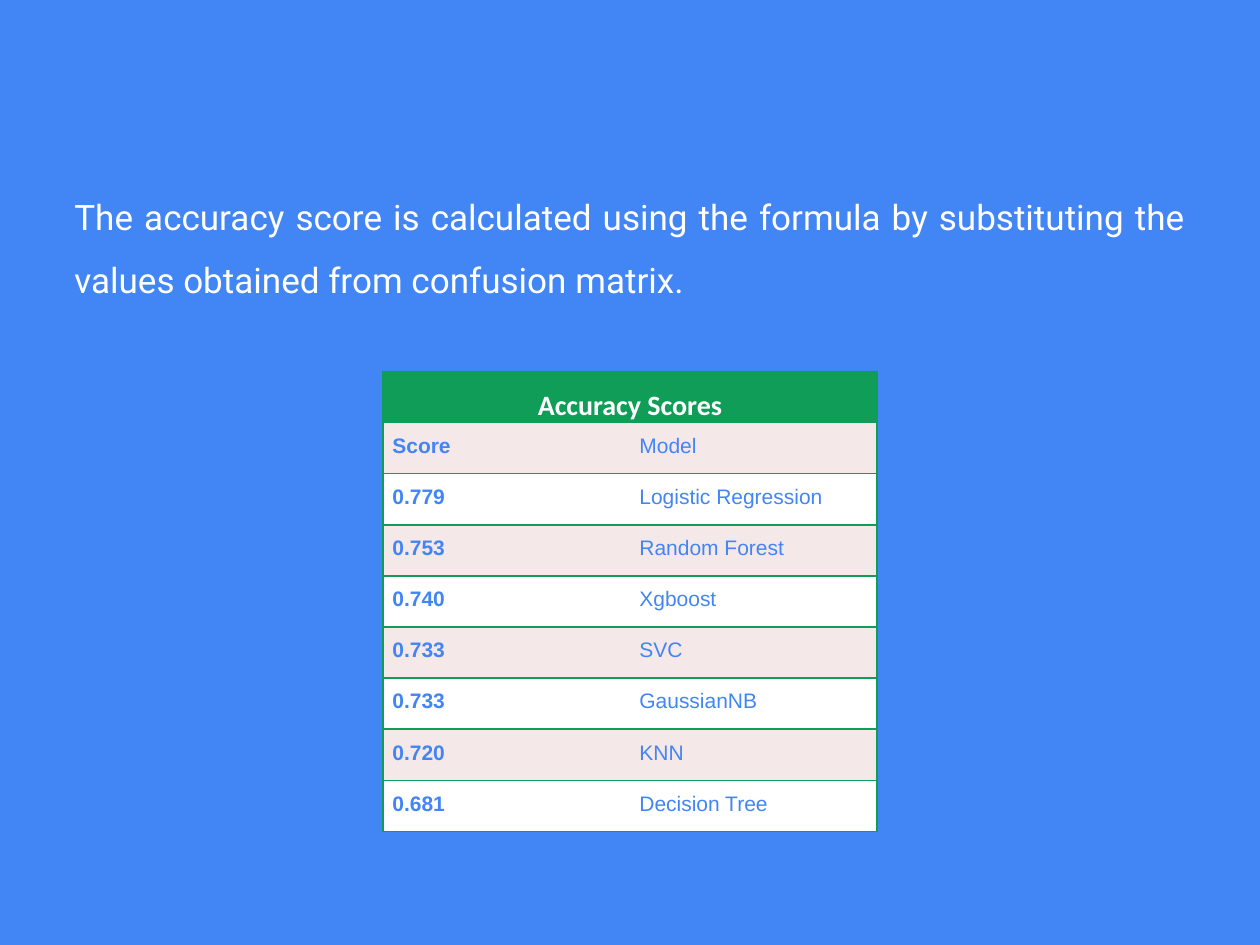
"""Build a slide with a table of accuracy scores by model."""
from lxml import etree
from pptx import Presentation
from pptx.dml.color import RGBColor
from pptx.enum import text
from pptx.oxml import ns
from pptx.util import Cm, Pt

BLUE = RGBColor(0x42, 0x85, 0xF4)
GREEN = RGBColor(0x0F, 0x9D, 0x58)
PINK = RGBColor(0xF4, 0xE8, 0xE8)
WHITE = RGBColor(0xFF, 0xFF, 0xFF)


def style(para, face, size, color, bold, align):
    para.line_spacing = 1.5
    para.alignment = align
    font = para.font
    font.name, font.size, font.bold = face, Pt(size), bold
    font.color.rgb = color


def edge(cell, sides):
    props = cell._tc.get_or_add_tcPr()
    for spot, side in enumerate("LRTB"):
        line = etree.Element(ns.qn(f"a:ln{side}"), w=str(Pt(1)))
        if side in sides:
            fill = etree.SubElement(line, ns.qn("a:solidFill"))
            etree.SubElement(fill, ns.qn("a:srgbClr"), val=str(GREEN))
        else:
            etree.SubElement(line, ns.qn("a:noFill"))
        props.insert(spot, line)


deck = Presentation()
deck.slide_width, deck.slide_height = Cm(25.4), Cm(19.05)
slide = deck.slides.add_slide(deck.slide_layouts[6])
back = slide.background.fill
back.solid()
back.fore_color.rgb = BLUE

body = slide.shapes.add_textbox(Cm(1.25), Cm(3.4), Cm(22.9), Cm(12.25)).text_frame
body.word_wrap = True
body.text = ("The accuracy score is calculated using the formula by "
             "substituting the values obtained from confusion matrix.")
style(body.paragraphs[0], "Roboto", 20, WHITE, False, text.PP_ALIGN.JUSTIFY)

rows = [
    ("Accuracy Scores", ""),
    ("Score", "Model"),
    ("0.779", "Logistic Regression"),
    ("0.753", "Random Forest"),
    ("0.740", "Xgboost"),
    ("0.733", "SVC"),
    ("0.733", "GaussianNB"),
    ("0.720", "KNN"),
    ("0.681", "Decision Tree"),
]
high = Cm(1.03)
table = slide.shapes.add_table(
    len(rows), 2, Cm(7.72), Cm(7.49), Cm(9.96), high * len(rows)).table
for row in table.rows:
    row.height = high
table.cell(0, 0).merge(table.cell(0, 1))

for i, row in enumerate(rows):
    for j, word in enumerate(row):
        cell = table.cell(i, j)
        cell.margin_left = cell.margin_right = Cm(0.19)
        cell.margin_top = cell.margin_bottom = 0
        cell.fill.solid()
        cell.fill.fore_color.rgb = (PINK if i % 2 else WHITE) if i else GREEN
        edge(cell, ("LTB", "RTB")[j] if i else "LRTB")
        if word:
            cell.text = word
        para = cell.text_frame.paragraphs[0]
        if i:
            style(para, "Arial", 12, BLUE, j == 0, text.PP_ALIGN.LEFT)
        else:
            style(para, "Calibri", 16, WHITE, True, text.PP_ALIGN.CENTER)

deck.save("out.pptx")
